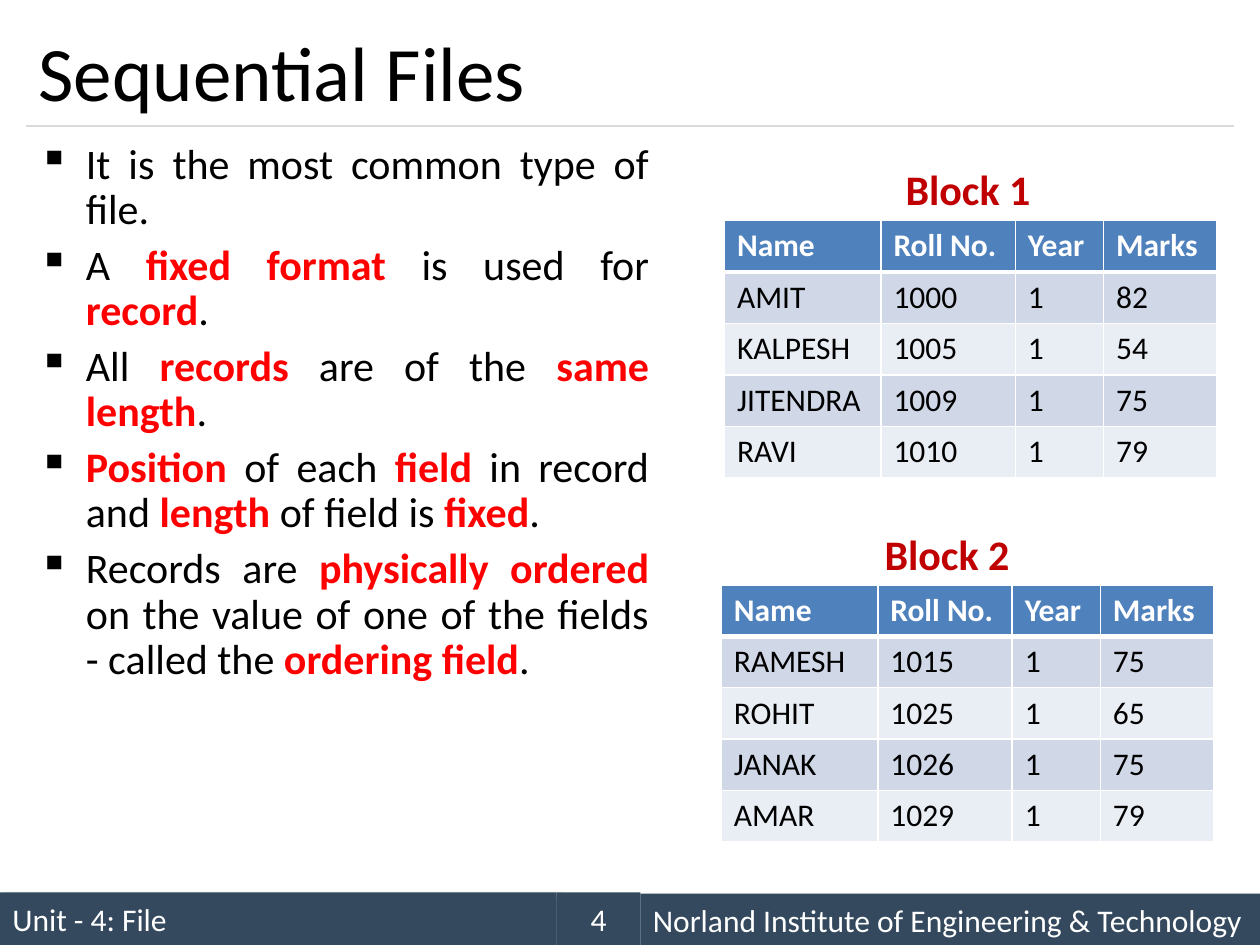
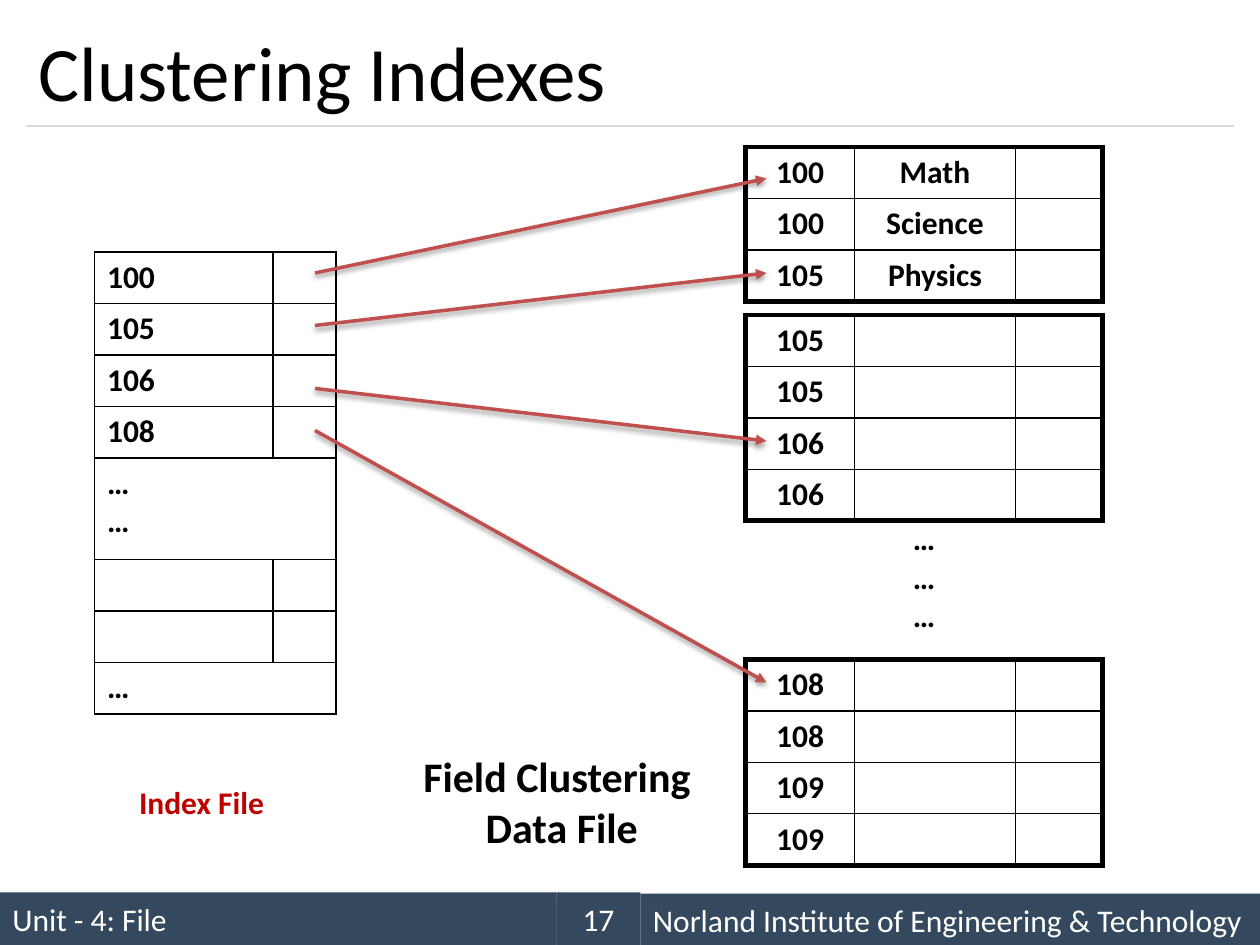
"""Build two slides on file organisation: sequential files and clustering indexes."""
import lxml.etree
import pptx
import pptx.dml.color
import pptx.enum.shapes
import pptx.enum.text
import pptx.oxml.ns
import pptx.util

PX = 7620
FONT = "Calibri"
INK = {
    "black": "000000", "white": "FFFFFF", "red": "FF0000", "crimson": "C00000",
    "navy": "34495E", "rule": "D9D9D9", "head": "4F81BD", "dark": "D0D8E8",
    "light": "E9EDF4", "arrow": "C0504D",
}
RGB = pptx.dml.color.RGBColor.from_string
ALIGN = pptx.enum.text.PP_ALIGN
MIDDLE = pptx.enum.text.MSO_ANCHOR.MIDDLE
RECT = pptx.enum.shapes.MSO_SHAPE.RECTANGLE
LINE = pptx.enum.shapes.MSO_CONNECTOR.STRAIGHT
qn = pptx.oxml.ns.qn
add = lxml.etree.SubElement


def write(frame, text, size=18, color="black", bold=False, align=ALIGN.LEFT,
          anchor=None, wrap=True, bullet=None):
    """Fill a text frame; parts between asterisks are bold and red."""
    if anchor is not None:
        frame.vertical_anchor = anchor
    frame.word_wrap = wrap
    for i, row in enumerate(text.split("\n")):
        para = frame.add_paragraph() if i else frame.paragraphs[0]
        para.alignment = align
        if bullet:
            para.line_spacing = 0.9
            para.space_before = pptx.util.Pt(6)
            props = para._p.get_or_add_pPr()
            props.set("marL", str(45 * PX))
            props.set("indent", str(-45 * PX))
            tint = add(props, qn("a:buClr"))
            add(tint, qn("a:srgbClr"), val=INK[color])
            add(props, qn("a:buChar"), char=bullet)
        for j, part in enumerate(row.split("*")):
            if not part:
                continue
            run = para.add_run()
            run.text = part
            run.font.name = FONT
            run.font.size = pptx.util.Pt(size)
            run.font.bold = bold or j % 2 == 1
            run.font.color.rgb = RGB(INK["red" if j % 2 else color])


def grid(slide, x, y, cols, highs, rows, edge="black", rim=1, under=1, fills=None,
         align=ALIGN.LEFT):
    """Add a table with a rim of its own width and a line under its first row."""
    table = slide.shapes.add_table(
        len(highs), len(cols), x * PX, y * PX, sum(cols) * PX, sum(highs) * PX).table
    table.first_row = table.horz_banding = False
    for col, wide in zip(table.columns, cols):
        col.width = wide * PX
    for r, high in enumerate(highs):
        table.rows[r].height = high * PX
        for c in range(len(cols)):
            cell = table.cell(r, c)
            sides = {
                "L": rim if c == 0 else 1,
                "R": rim if c == len(cols) - 1 else 1,
                "T": rim if r == 0 else under if r == 1 else 1,
                "B": rim if r == len(highs) - 1 else under if r == 0 else 1,
            }
            props = cell._tc.get_or_add_tcPr()
            for side, thick in sides.items():
                line = add(props, qn("a:ln" + side), w=str(thick * 12700))
                if thick:
                    fill = add(line, qn("a:solidFill"))
                    add(fill, qn("a:srgbClr"), val=INK[edge])
                else:
                    add(line, qn("a:noFill"))
            if fills:
                cell.fill.solid()
                cell.fill.fore_color.rgb = RGB(INK[fills[r]])
            else:
                cell.fill.background()
            if c < len(rows[r]):
                top = fills and r == 0
                write(cell.text_frame, rows[r][c], color="white" if top else "black",
                      bold=top or not fills, align=align)
    return table


deck = pptx.Presentation()
deck.slide_width = 1200 * PX
deck.slide_height = 900 * PX
casts = []
slides = []

for title, page in (("Sequential Files", "4"), ("Clustering Indexes", "17")):
    slide = deck.slides.add_slide(deck.slide_layouts[6])
    slides.append(slide)
    soft = (40, 4, 3, 45)
    for x, y, wide, text, align, shade in (
            (0, 850, 530, "Unit - 4: File", ALIGN.LEFT, soft),
            (610, 851, 590, "Norland Institute of Engineering & Technology", ALIGN.LEFT, soft),
            (530, 850, 80, page, ALIGN.CENTER, None)):
        bar = slide.shapes.add_shape(RECT, x * PX, y * PX, wide * PX, 50 * PX)
        bar.fill.solid()
        bar.fill.fore_color.rgb = RGB(INK["navy"])
        bar.line.fill.background()
        write(bar.text_frame, text, color="white", align=align, anchor=MIDDLE)
        casts.append((bar, shade))
    rule = slide.shapes.add_connector(LINE, 25 * PX, 120 * PX, 1175 * PX, 120 * PX)
    rule.line.color.rgb = RGB(INK["rule"])
    rule.line.width = pptx.util.Pt(0.75)
    casts.append((rule, None))
    box = slide.shapes.add_textbox(25 * PX, 15 * PX, 1150 * PX, 105 * PX)
    write(box.text_frame, title, size=44, anchor=MIDDLE)

files, index = slides

body = files.shapes.add_textbox(25 * PX, 130 * PX, 605 * PX, 690 * PX)
write(body.text_frame, "\n".join((
    "It is the most common type of file.",
    "A *fixed format *is used for *record*.",
    "All *records *are of the *same length*.",
    "*Position *of each *field *in record and *length *of field is *fixed*.",
    "Records are *physically ordered *on the value of one of the fields"
    " - called the *ordering field*.",
)), size=24, align=ALIGN.JUSTIFY, bullet="▪")

HEAD = ("Name", "Roll No.", "Year", "Marks")
for x, y, rows in (
        (690, 210, (("AMIT", "1000", "1", "82"), ("KALPESH", "1005", "1", "54"),
                    ("JITENDRA", "1009", "1", "75"), ("RAVI", "1010", "1", "79"))),
        (687, 557, (("RAMESH", "1015", "1", "75"), ("ROHIT", "1025", "1", "65"),
                    ("JANAK", "1026", "1", "75"), ("AMAR", "1029", "1", "79")))):
    grid(files, x, y, (149, 128, 84, 108), [49] * 5, (HEAD, *rows), edge="white",
         under=3, fills=("head", "dark", "light", "dark", "light"))

for slide, x, y, wide, high, text, size, color in (
        (files, 850, 150, 144, 60, "Block 1", 24, "crimson"),
        (files, 830, 497, 144, 60, "Block 2", 24, "crimson"),
        (index, 120, 740, 144, 48, "Index File", 18, "crimson"),
        (index, 390, 709, 290, 109, "Field Clustering \nData File", 24, "black")):
    box = slide.shapes.add_textbox(x * PX, y * PX, wide * PX, high * PX)
    write(box.text_frame, text, size=size, color=color, bold=True,
          align=ALIGN.CENTER, wrap=False)

for y, rows in (
        (140, (("100", "Math"), ("100", "Science"), ("105", "Physics"))),
        (300, (("105",), ("105",), ("106",), ("106",))),
        (628, (("108",), ("108",), ("109",), ("109",)))):
    grid(index, 710, y, (104, 153, 83), [49] * len(rows), rows, rim=3,
         align=ALIGN.CENTER)
grid(index, 710, 490, (340,), (140,), (("…\n…\n…",),), rim=0, align=ALIGN.CENTER)

keys = grid(index, 90, 240, (170, 60), (49, 49, 49, 49, 97, 49, 49, 49),
            (("100",), ("105",), ("106",), ("108",), ("…\n…",), (), (), ("…",)))
for r in (4, 7):
    keys.cell(r, 0).merge(keys.cell(r, 1))

for start, end in ((260, 170), (310, 260), (370, 420), (410, 650)):
    arrow = index.shapes.add_connector(LINE, 300 * PX, start * PX, 730 * PX, end * PX)
    arrow.line.color.rgb = RGB(INK["arrow"])
    arrow.line.width = pptx.util.Pt(2)
    add(arrow.line._get_or_add_ln(), qn("a:tailEnd"), type="triangle")
    casts.append((arrow, (38, 3.1, 1.6, 90)))

for shape, shade in casts:
    fx = add(shape._element.spPr, qn("a:effectLst"))
    if shade:
        alpha, blur, dist, turn = shade
        cast = add(fx, qn("a:outerShdw"), blurRad=str(int(blur * 12700)),
                   dist=str(int(dist * 12700)), dir=str(turn * 60000), rotWithShape="0")
        tint = add(cast, qn("a:srgbClr"), val=INK["black"])
        add(tint, qn("a:alpha"), val=str(alpha * 1000))

deck.save("out.pptx")
